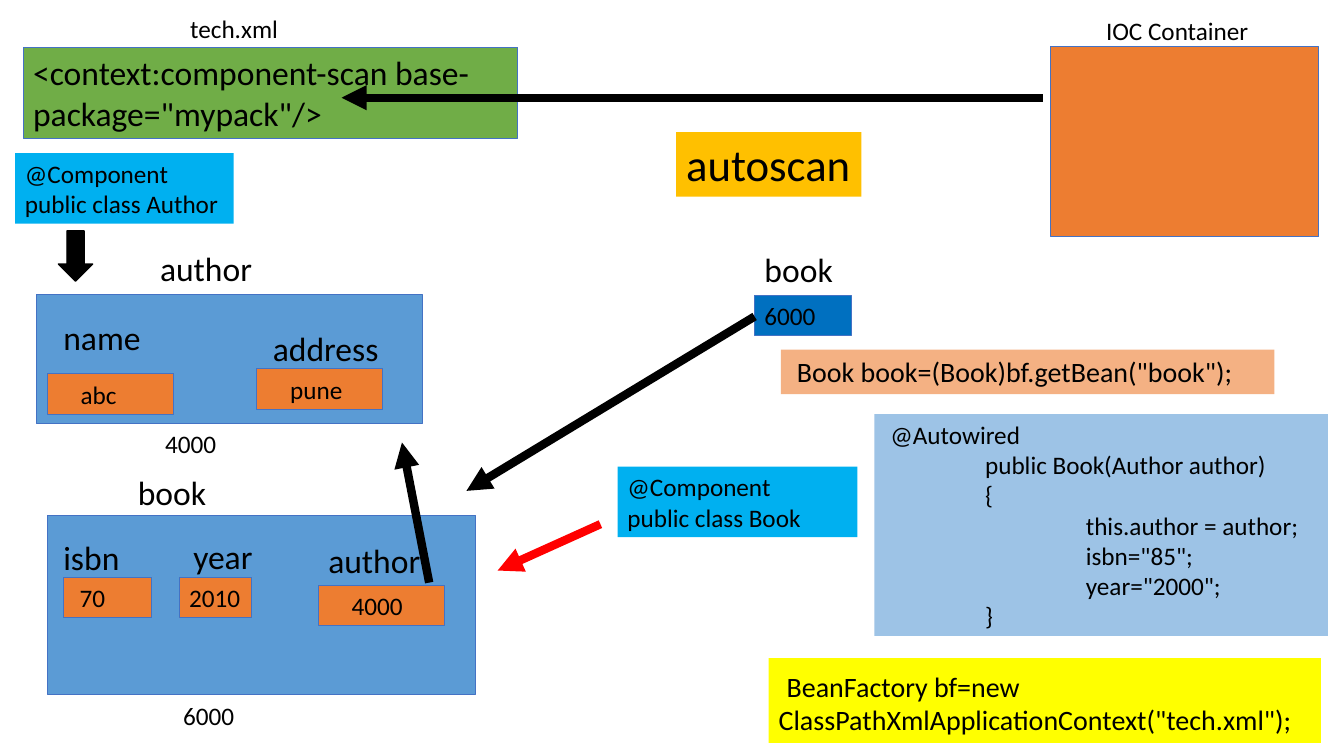
import pptx
import pptx.util
import pptx.dml.color
import pptx.enum.shapes
import pptx.enum.text
import pptx.oxml.xmlchemy
import lxml.etree

RGBColor = pptx.dml.color.RGBColor
BLACK = RGBColor(0x00, 0x00, 0x00)
RED = RGBColor(0xFF, 0x00, 0x00)
EDGE = RGBColor(0x44, 0x72, 0xC4)
BEAN = RGBColor(0x5B, 0x9B, 0xD5)
FIELD = RGBColor(0xED, 0x7D, 0x31)
CONFIG = RGBColor(0x70, 0xAD, 0x47)
COMPONENT = RGBColor(0x00, 0xB0, 0xF0)
REFERENCE = RGBColor(0x00, 0x70, 0xC0)
LOOKUP = RGBColor(0xF4, 0xB1, 0x83)
AUTOWIRED = RGBColor(0x9D, 0xC3, 0xE6)
FACTORY = RGBColor(0xFF, 0xFF, 0x00)
HEADLINE = RGBColor(0xFF, 0xC0, 0x00)
RECTANGLE = pptx.enum.shapes.MSO_SHAPE.RECTANGLE
DRAWING = "{http://schemas.openxmlformats.org/drawingml/2006/main}"

deck = pptx.Presentation()
deck.slide_width = pptx.util.Inches(13.34)
deck.slide_height = pptx.util.Inches(7.5)
COLUMN = deck.slide_width / 133.4
ROW = deck.slide_height / 75
slide = deck.slides.add_slide(deck.slide_layouts[5])


def write(text, at, size=18, fill=None, edge=None, inset=1, top=0.5,
          first=0, levels=(), holder=None):
    left, upper, width, height = (
        round(n * unit) for n, unit in zip(at, (COLUMN, ROW) * 2))
    if holder is None and fill is None:
        holder = slide.shapes.add_textbox(left, upper, width, height)
    elif holder is None:
        holder = slide.shapes.add_shape(RECTANGLE, left, upper, width, height)
        holder.shadow.inherit = False
    holder.left, holder.top, holder.width, holder.height = left, upper, width, height
    if fill is not None:
        holder.fill.solid()
        holder.fill.fore_color.rgb = fill
    if edge is None:
        holder.line.fill.background()
    else:
        holder.line.color.rgb = edge
        holder.line.width = pptx.util.Pt(0.75)
    frame = holder.text_frame
    frame.word_wrap = True
    frame.auto_size = pptx.enum.text.MSO_AUTO_SIZE.NONE
    frame.vertical_anchor = pptx.enum.text.MSO_ANCHOR.TOP
    frame.margin_left = round(inset * COLUMN)
    frame.margin_right = round(COLUMN)
    frame.margin_top = round(top * ROW)
    frame.margin_bottom = round(0.5 * ROW)
    frame.text = text
    for number, paragraph in enumerate(frame.paragraphs):
        paragraph.alignment = pptx.enum.text.PP_ALIGN.LEFT
        paragraph.font.name = "Calibri"
        paragraph.font.size = pptx.util.Pt(size)
        paragraph.font.color.rgb = BLACK
        layout = paragraph._p.get_or_add_pPr()
        layout.set("marL", str(round(levels[number] * COLUMN) if levels else 0))
        layout.set("indent", str(round(first * COLUMN)))


write("autoscan", (67.1, 13.1, 18.4, 6.4), size=32, fill=HEADLINE,
      holder=slide.shapes.title)

for panel, colour in [
    ((4.7, 51.1, 42.5, 17.8), BEAN),
    ((3.6, 29.2, 38.3, 12.8), BEAN),
    ((104.3, 4.6, 26.6, 18.9), FIELD),
]:
    write("", panel, fill=colour, edge=EDGE)

write('<context:component-scan base-package="mypack"/>', (2.3, 4.7, 49.1, 9),
      size=24, fill=CONFIG, edge=EDGE)
write("6000", (74.9, 29.3, 9.6, 4), fill=REFERENCE, edge=EDGE)

for caption, left, top, width in [
    ("tech.xml", 17.9, 0.8, 17.7),
    ("IOC Container", 108.8, 1, 17.7),
    ("4000", 15.4, 42, 7.6),
    ("6000", 17.2, 69, 7.6),
]:
    write(caption, (left, top, width, 4))

for label, left, top, width in [
    ("author", 14.9, 24.1, 11.5),
    ("book", 74.9, 24.2, 9.6),
    ("book", 12.7, 46.3, 13.4),
    ("name", 5.3, 30.9, 12.5),
    ("address", 26.1, 32, 13.8),
    ("isbn", 5.3, 52.8, 12.5),
    ("year", 18.2, 52.7, 8.2),
    ("author", 31.6, 53.1, 12.5),
]:
    write(label, (left, top, width, 5), size=24)

for value, left, top, width, inset in [
    ("abc", 4.7, 37.1, 12.5, 3.3),
    ("pune", 25.5, 36.6, 12.5, 3.3),
    ("70", 6.3, 57.3, 8.7, 1.6),
    ("2010", 17.8, 57.3, 7.2, 1),
    ("4000", 31.6, 58.1, 12.5, 3.3),
]:
    write(value, (left, top, width, 4), fill=FIELD, edge=EDGE, inset=inset)

for bean, left, top, width in [("Author", 1.5, 15.2, 21.7), ("Book", 61.3, 46.3, 23.8)]:
    write(f"@Component\npublic class {bean}", (left, top, width, 7), fill=COMPONENT)

write('Book book=(Book)bf.getBean("book");', (77.5, 34.7, 49, 4.4),
      size=20, fill=LOOKUP, inset=1.6)
write('BeanFactory bf=new ClassPathXmlApplicationContext("tech.xml");',
      (76.3, 65.3, 54.8, 8.4), size=20, fill=FACTORY, top=1.1, first=0.8)
write("""@Autowired
public Book(Author author)
{
this.author = author;
isbn="85";
year="2000";
}""", (86.8, 41.1, 45, 22), fill=AUTOWIRED, levels=(0.6, 10, 10, 20, 20, 20, 10))

scan_step = slide.shapes.add_shape(
    pptx.enum.shapes.MSO_SHAPE.DOWN_ARROW, round(5.8 * COLUMN), round(22.9 * ROW),
    round(3.4 * COLUMN), round(5 * ROW))
scan_step.shadow.inherit = False
scan_step.fill.solid()
scan_step.fill.fore_color.rgb = BLACK
scan_step.line.color.rgb = BLACK
scan_step.line.width = pptx.util.Pt(1)

for start_x, start_y, end_x, end_y, colour in [
    (74.9, 31.4, 46.3, 48.7, BLACK),
    (103.5, 9.7, 33.9, 9.7, BLACK),
    (59.6, 52, 49.4, 56.6, RED),
    (42.6, 57.8, 39.9, 43.9, BLACK),
]:
    link = slide.shapes.add_connector(
        pptx.enum.shapes.MSO_CONNECTOR.STRAIGHT, round(start_x * COLUMN),
        round(start_y * ROW), round(end_x * COLUMN), round(end_y * ROW))
    link.line.color.rgb = colour
    link.line.width = pptx.util.Pt(6)
    lxml.etree.SubElement(link.line._get_or_add_ln(), DRAWING + "tailEnd", type="triangle")
    lxml.etree.SubElement(link._element.spPr, DRAWING + "effectLst")

deck.save("out.pptx")
